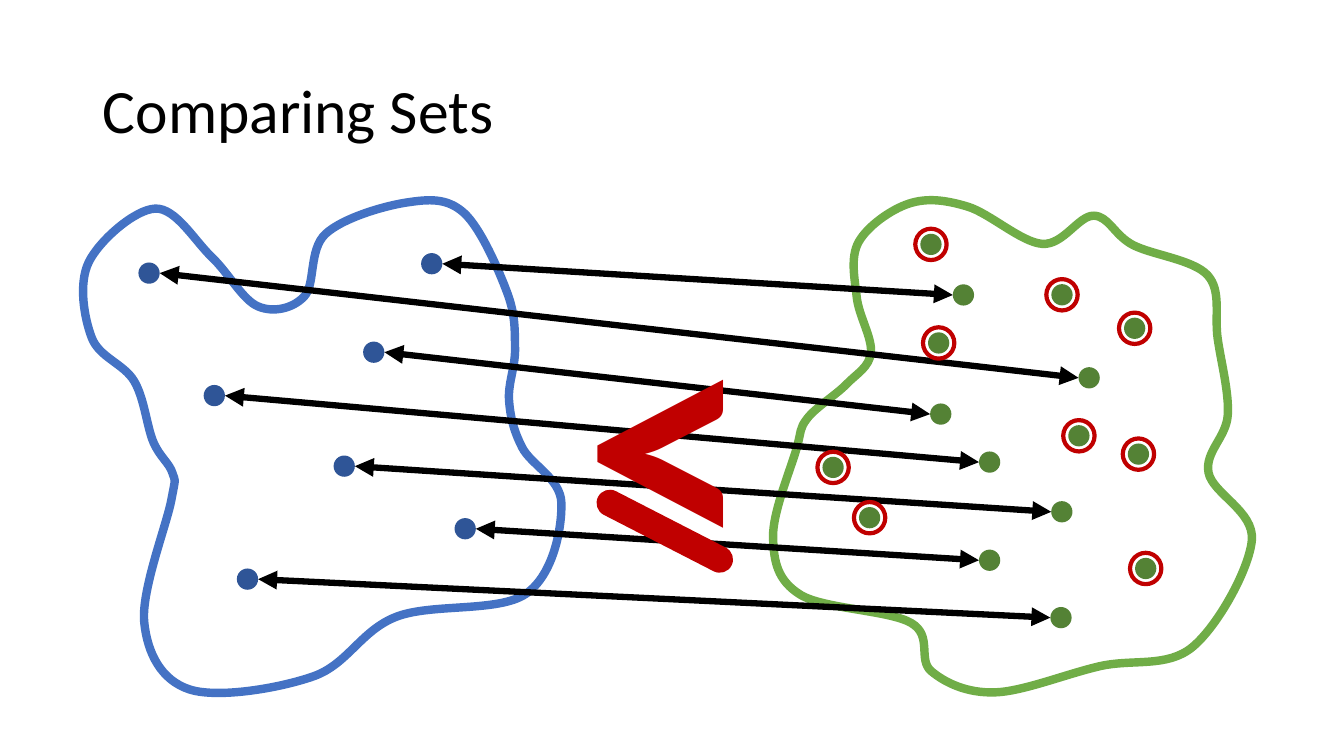
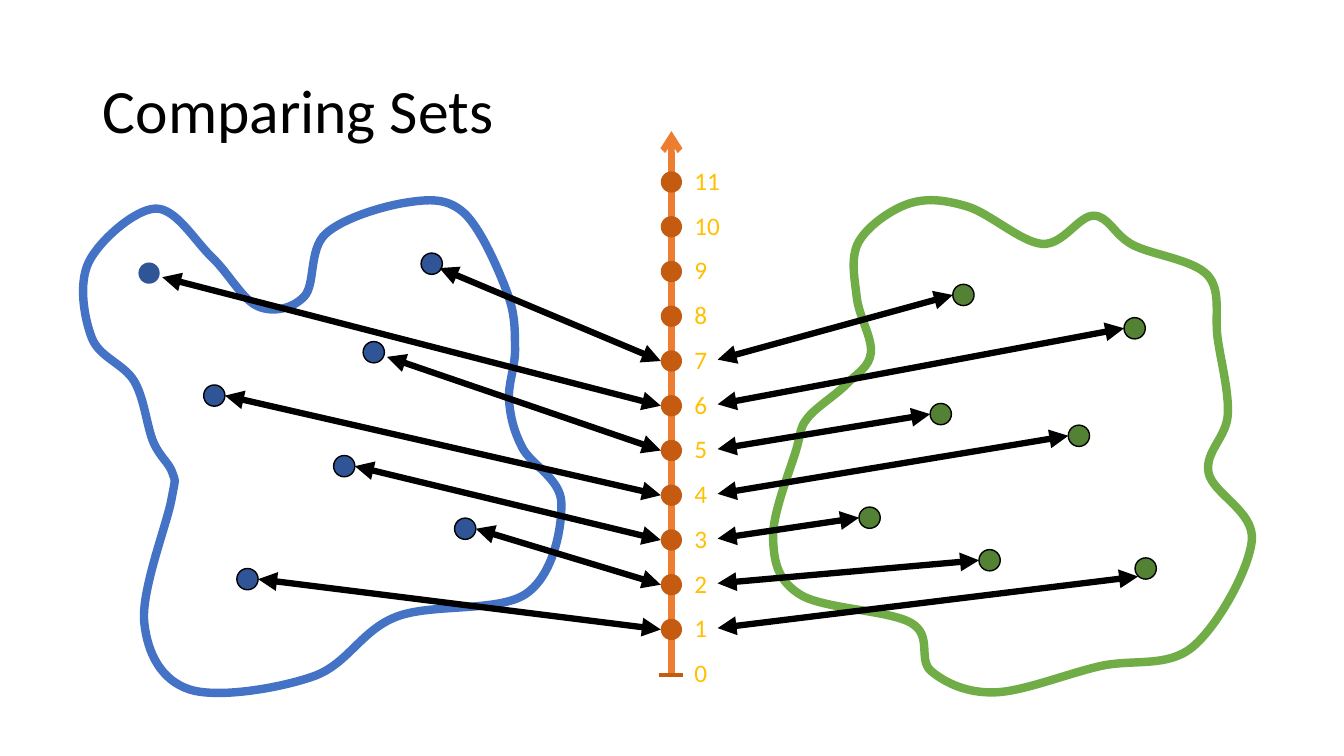
from lxml import etree
from pptx import Presentation
from pptx import util as u
from pptx.dml import color
from pptx.enum import shapes, text
from pptx.oxml import ns

Pt = u.Pt
RGB = color.RGBColor

BLACK = RGB(0x00, 0x00, 0x00)
BLUE = RGB(0x44, 0x72, 0xC4)
DARK_BLUE = RGB(0x2F, 0x55, 0x97)
GREEN = RGB(0x70, 0xAD, 0x47)
DARK_GREEN = RGB(0x54, 0x82, 0x35)
RED = RGB(0xC0, 0x00, 0x00)
ORANGE = RGB(0xED, 0x7D, 0x31)
DARK_ORANGE = RGB(0xC5, 0x5A, 0x11)
GOLD = RGB(0xFF, 0xC0, 0x00)

FONT = "Calibri"
TITLE = "Comparing Sets"
TITLE_BOX = (66.2, 28.8, 828, 104.4)

LEFT_BOX = (59.8, 143.3, 342, 352.1)
LEFT_SET = [
    (122.4, 357.1), (103, 444.2), (135.4, 492.5), (223.9, 483.1),
    (283, 440.6), (375.8, 424.1), (401, 359.3), (373, 319.7),
    (363.6, 285.8), (367.9, 249.1), (362.2, 208.8), (331.2, 151.9),
    (290.2, 144.7), (232.6, 167), (217.4, 211.7), (184.3, 218.9),
    (151.2, 183.6), (110.9, 149), (63.4, 187.2), (65.5, 241.2),
    (95.8, 272.2), (109.4, 315.4), (123.1, 337.7),
]
RIGHT_BOX = (552.2, 143.3, 342, 352.1)
RIGHT_SET = [
    (568.8, 321.1), (552.2, 383.8), (571.7, 424.8), (650.9, 445),
    (665.3, 479.5), (710.6, 494.6), (785.5, 475.9), (851.8, 462.2),
    (894.2, 385.9), (863.3, 337.7), (877, 296.6), (869.8, 241.9),
    (862.6, 196.6), (809.3, 175), (781.2, 154.1), (744.5, 174.2),
    (691.2, 147.6), (649.4, 145.4), (613.4, 172.8), (612, 212.4),
    (622.1, 252), (604.8, 274.3), (576.7, 298.8),
]

LEFT_DOTS = [
    (176.8, 413.7), (332.3, 377.7), (245.9, 333), (153.1, 282.6),
    (267, 251.6), (106.5, 195.1), (308.4, 188.4),
]
PARTNERS = [
    (757.9, 441.2), (706.9, 400.2), (758.5, 365.6), (706.9, 330.1),
    (672, 295.8), (778, 269.9), (688.2, 210.7),
]
UNPAIRED = [
    (665, 174.6), (758.6, 210.6), (810.5, 234.5), (670.5, 245),
    (770.7, 311.3), (813.2, 324.4), (818.4, 406.1), (621.2, 369.8),
    (595.1, 333.9),
]
COUNTED = [
    (818.4, 406.1), (706.9, 400.2), (621.2, 369.8), (770.7, 311.3),
    (672, 295.8), (810.5, 234.5), (688.2, 210.7),
]
DOT = 15.2
RING = 22.4
RADIUS = DOT / 2
LEFT_TOUCH = {5: (9.5, 3.3), 6: (9.4, 2.9), 7: (5.5, 3.1)}
RIGHT_TOUCH = {1: (-5.5, 5.7)}
PLAIN_DOT = 6

LESS_BOX = (410.4, 157.7, 134.6, 296.6)
LESS_BAR = ((435.6, 359.3), (514.1, 399.6))

AXIS_X = 479.6
AXIS_TOP = 93.6
AXIS_BOTTOM = 483.1
AXIS_ZERO = 481.6
AXIS_STEP = 31.96
AXIS_LAST = 11
TICK_Y = 482.4
TICK_HALF = 8.6
LABEL_LEFT = 488.9
LABEL_HEIGHT = 29.1
LABEL_RIGHT = 512.6
LABEL_SHIFT = -1


def shifted(point, offset):
    return point[0] + offset[0], point[1] + offset[1]


def axis_y(number):
    return AXIS_ZERO - number * AXIS_STEP


def smooth_segments(anchors):
    count = len(anchors)
    for index in range(count):
        before, start, end, after = (anchors[(index + k) % count] for k in (-1, 0, 1, 2))
        leave = tuple(b + (c - a) / 6 for a, b, c in zip(before, start, end))
        arrive = tuple(c - (d - b) / 6 for b, c, d in zip(start, end, after))
        yield leave, arrive, end


def add_path_step(path, tag, points, box):
    step = etree.SubElement(path, ns.qn(tag))
    for x, y in points:
        point = etree.SubElement(step, ns.qn("a:pt"))
        point.set("x", str(Pt(x - box[0])))
        point.set("y", str(Pt(y - box[1])))


def add_outline(slide, anchors, box, line_color):
    builder = slide.shapes.build_freeform(*(Pt(value) for value in anchors[0]))
    builder.add_line_segments([(Pt(x), Pt(y)) for x, y in anchors[1:]], close=True)
    shape = builder.convert_to_shape()
    shape.left, shape.top, shape.width, shape.height = (Pt(value) for value in box)
    path = next(shape._element.iter(ns.qn("a:path")))
    for step in list(path):
        path.remove(step)
    path.set("w", str(Pt(box[2])))
    path.set("h", str(Pt(box[3])))
    add_path_step(path, "a:moveTo", anchors[:1], box)
    for segment in smooth_segments(anchors):
        add_path_step(path, "a:cubicBezTo", segment, box)
    add_path_step(path, "a:close", (), box)
    shape.shadow.inherit = False
    shape.fill.background()
    shape.line.color.rgb = line_color
    shape.line.width = Pt(6)


def add_circle(slide, center, diameter, fill=None, line=None, width=1):
    left, top = (value - diameter / 2 for value in center)
    shape = slide.shapes.add_shape(
        shapes.MSO_SHAPE.OVAL, Pt(left), Pt(top), Pt(diameter), Pt(diameter))
    shape.shadow.inherit = False
    if fill is None:
        shape.fill.background()
    else:
        shape.fill.solid()
        shape.fill.fore_color.rgb = fill
    if line is None:
        shape.line.fill.background()
    else:
        shape.line.color.rgb = line
        shape.line.width = Pt(width)


def add_line(slide, start, end, line_color, width, head=None, tail=None, cap=None):
    connector = slide.shapes.add_connector(
        shapes.MSO_CONNECTOR.STRAIGHT, *(Pt(value) for value in start + end))
    connector.line.color.rgb = line_color
    connector.line.width = Pt(width)
    properties = connector._element.spPr
    line = properties.find(ns.qn("a:ln"))
    if cap:
        line.set("cap", cap)
    for tag, kind in (("a:headEnd", head), ("a:tailEnd", tail)):
        if kind:
            etree.SubElement(line, ns.qn(tag)).set("type", kind)
    etree.SubElement(properties, ns.qn("a:effectLst"))


def add_pairing(slide, start, end):
    add_line(slide, start, end, BLACK, 4.5, "triangle", "triangle")


def format_text(paragraph, size, text_color, bold=False):
    for run in paragraph.runs:
        run.font.name = FONT
        run.font.size = Pt(size)
        run.font.bold = bold
        run.font.color.rgb = text_color


def add_label(slide, box, wording, size, text_color, bold=False):
    frame = slide.shapes.add_textbox(*(Pt(value) for value in box)).text_frame
    frame.text = wording
    frame.word_wrap = False
    frame.auto_size = text.MSO_AUTO_SIZE.SHAPE_TO_FIT_TEXT
    format_text(frame.paragraphs[0], size, text_color, bold)


def add_sets_slide(presentation):
    slide = presentation.slides.add_slide(presentation.slide_layouts[5])
    title = slide.shapes.title
    title.left, title.top, title.width, title.height = (Pt(value) for value in TITLE_BOX)
    frame = title.text_frame
    frame.text = TITLE
    frame.vertical_anchor = text.MSO_ANCHOR.MIDDLE
    paragraph = frame.paragraphs[0]
    paragraph.alignment = text.PP_ALIGN.LEFT
    paragraph.line_spacing = 0.9
    format_text(paragraph, 44, BLACK)
    add_outline(slide, LEFT_SET, LEFT_BOX, BLUE)
    add_outline(slide, RIGHT_SET, RIGHT_BOX, GREEN)
    return slide


def build_matching(presentation):
    slide = add_sets_slide(presentation)
    for center in LEFT_DOTS:
        add_circle(slide, center, DOT, DARK_BLUE)
    for center in PARTNERS + UNPAIRED:
        add_circle(slide, center, DOT, DARK_GREEN)
    for left, right in zip(LEFT_DOTS, PARTNERS):
        add_pairing(slide, shifted(left, (RADIUS, 0)), shifted(right, (-RADIUS, 0)))
    for center in UNPAIRED:
        add_circle(slide, center, RING, line=RED, width=3)
    add_label(slide, LESS_BOX, "<", 239, RED, bold=True)
    add_line(slide, *LESS_BAR, RED, 19, cap="rnd")


def add_axis(slide):
    add_line(slide, (AXIS_X, AXIS_TOP), (AXIS_X, AXIS_BOTTOM), ORANGE, 4.5, head="arrow")
    add_line(slide, (AXIS_X - TICK_HALF, TICK_Y), (AXIS_X + TICK_HALF, TICK_Y),
             DARK_ORANGE, 3)
    for number in range(AXIS_LAST + 1):
        top = axis_y(number) + LABEL_SHIFT - LABEL_HEIGHT / 2
        width = 33 if number > 9 else 23.8
        add_label(slide, (LABEL_LEFT, top, width, LABEL_HEIGHT), str(number), 18, GOLD)
    for number in range(1, AXIS_LAST + 1):
        add_circle(slide, (AXIS_X, axis_y(number)), DOT, DARK_ORANGE)


def build_counting(presentation):
    slide = add_sets_slide(presentation)
    for number, center in enumerate(LEFT_DOTS, 1):
        add_circle(slide, center, DOT, DARK_BLUE, None if number == PLAIN_DOT else BLACK)
    for center in COUNTED:
        add_circle(slide, center, DOT, DARK_GREEN, BLACK)
    add_axis(slide)
    for number, left in enumerate(LEFT_DOTS, 1):
        add_pairing(slide, shifted(left, LEFT_TOUCH.get(number, (RADIUS, 0))),
                    (AXIS_X - RADIUS, axis_y(number)))
    for number, right in enumerate(COUNTED, 1):
        add_pairing(slide, shifted(right, RIGHT_TOUCH.get(number, (-RADIUS, 0))),
                    (LABEL_RIGHT, axis_y(number) + LABEL_SHIFT))


presentation = Presentation()
presentation.slide_width = Pt(960)
presentation.slide_height = Pt(540)
build_matching(presentation)
build_counting(presentation)
presentation.save("out.pptx")
